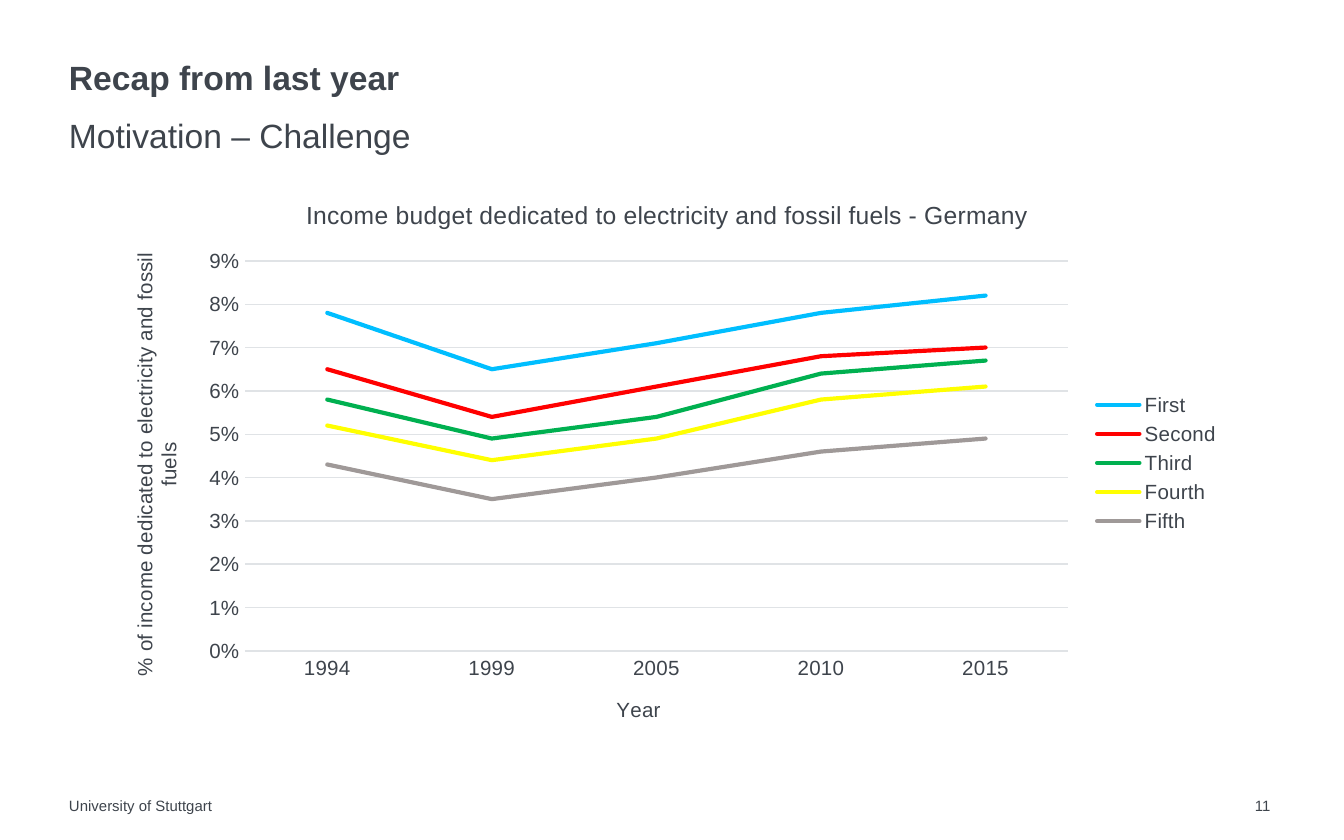
"""Build the slide on household income spent on electricity and fossil fuels."""
from lxml.etree import SubElement
from pptx import Presentation
from pptx.chart.data import CategoryChartData
from pptx.dml.color import RGBColor
from pptx.enum.chart import XL_CHART_TYPE, XL_LEGEND_POSITION, XL_TICK_MARK
from pptx.enum.text import MSO_ANCHOR
from pptx.oxml.ns import qn
from pptx.util import Emu, Pt

PX = 914400 / 134.4
INK, GRID = "3E444C", "E0E3E6"


def px(length):
    return Emu(round(length * PX))


def style(font, size, color=INK, bold=False):
    font.name, font.size, font.bold = "Arial", Pt(size), bold
    font.color.rgb = RGBColor.from_string(color)


prs = Presentation()
prs.slide_width, prs.slide_height = px(1344), px(840)
slide = prs.slides.add_slide(prs.slide_layouts[6])

for text, box, size, bold, anchor, inset in [
    ("Recap from last year", (69, 58, 1207, 40), 18, True, MSO_ANCHOR.BOTTOM, 0),
    ("Motivation – Challenge", (69, 105, 1207, 40), 18, False, MSO_ANCHOR.TOP, 10),
    ("University of Stuttgart", (69, 797, 891, 19), 8, False, MSO_ANCHOR.TOP, 0),
    ("11", (1255, 797, 32, 19), 8, False, MSO_ANCHOR.TOP, 0),
]:
    frame = slide.shapes.add_textbox(*map(px, box)).text_frame
    frame.word_wrap = True
    frame.vertical_anchor = anchor
    frame.margin_left = frame.margin_right = frame.margin_bottom = 0
    frame.margin_top = px(inset)
    frame.text = text
    style(frame.paragraphs[0].runs[0].font, size, bold=bold)
    if bold:
        frame.paragraphs[0].line_spacing = 0.9

quintiles = [
    ("First", "00BEFF", (0.078, 0.065, 0.071, 0.078, 0.082)),
    ("Second", "FF0000", (0.065, 0.054, 0.061, 0.068, 0.07)),
    ("Third", "00B050", (0.058, 0.049, 0.054, 0.064, 0.067)),
    ("Fourth", "FFFF00", (0.052, 0.044, 0.049, 0.058, 0.061)),
    ("Fifth", "9F9998", (0.043, 0.035, 0.04, 0.046, 0.049)),
]
budget = CategoryChartData(number_format="0%")
budget.categories = ["1994", "1999", "2005", "2010", "2015"]
for name, color, shares in quintiles:
    budget.add_series(name, shares)
chart = slide.shapes.add_chart(
    XL_CHART_TYPE.LINE, *map(px, (101, 176, 1133, 574)), budget
).chart
style(chart.font, 11)
chart.plots[0].vary_by_categories = False
for series, (name, color, shares) in zip(chart.plots[0].series, quintiles):
    series.smooth = False
    series.format.line.width = Pt(2.25)
    series.format.line.color.rgb = RGBColor.from_string(color)
    series.format.line._get_or_add_ln().set("cap", "rnd")

years, share = chart.category_axis, chart.value_axis
for titled, text, size in [
    (chart, "Income budget dedicated to electricity and fossil fuels - Germany", 13.2),
    (years, "Year", 11),
    (share, "% of income dedicated to electricity and fossil fuels", 11),
]:
    titled.has_title = True
    title = titled.chart_title if titled is chart else titled.axis_title
    title.text_frame.text = text
    style(title.text_frame.paragraphs[0].runs[0].font, size)

for axis in (years, share):
    axis.major_tick_mark = axis.minor_tick_mark = XL_TICK_MARK.NONE
    style(axis.tick_labels.font, 11)
share.minimum_scale, share.maximum_scale, share.major_unit = 0, 0.09, 0.01
share.tick_labels.number_format = "0%"
share.tick_labels.number_format_is_linked = False
share.has_major_gridlines = True
share.format.line.fill.background()
for line in (years.format.line, share.major_gridlines.format.line):
    line.width = Pt(0.75)
    line.color.rgb = RGBColor.from_string(GRID)

chart.has_legend = True
chart.legend.position = XL_LEGEND_POSITION.RIGHT
chart.legend.include_in_layout = False
style(chart.legend.font, 11)

plot_area = chart._chartSpace.chart.plotArea
for layout in plot_area.findall(qn("c:layout")):
    plot_area.remove(layout)
layout = SubElement(plot_area, qn("c:layout"))
plot_area.insert(0, layout)
manual = SubElement(layout, qn("c:manualLayout"))
for tag, value in [
    ("layoutTarget", "inner"), ("xMode", "edge"), ("yMode", "edge"),
    ("x", (245 - 101) / 1133), ("y", (261 - 176) / 574),
    ("w", 823 / 1133), ("h", 390 / 574),
]:
    SubElement(manual, qn(f"c:{tag}")).set("val", str(value))

prs.save("out.pptx")
